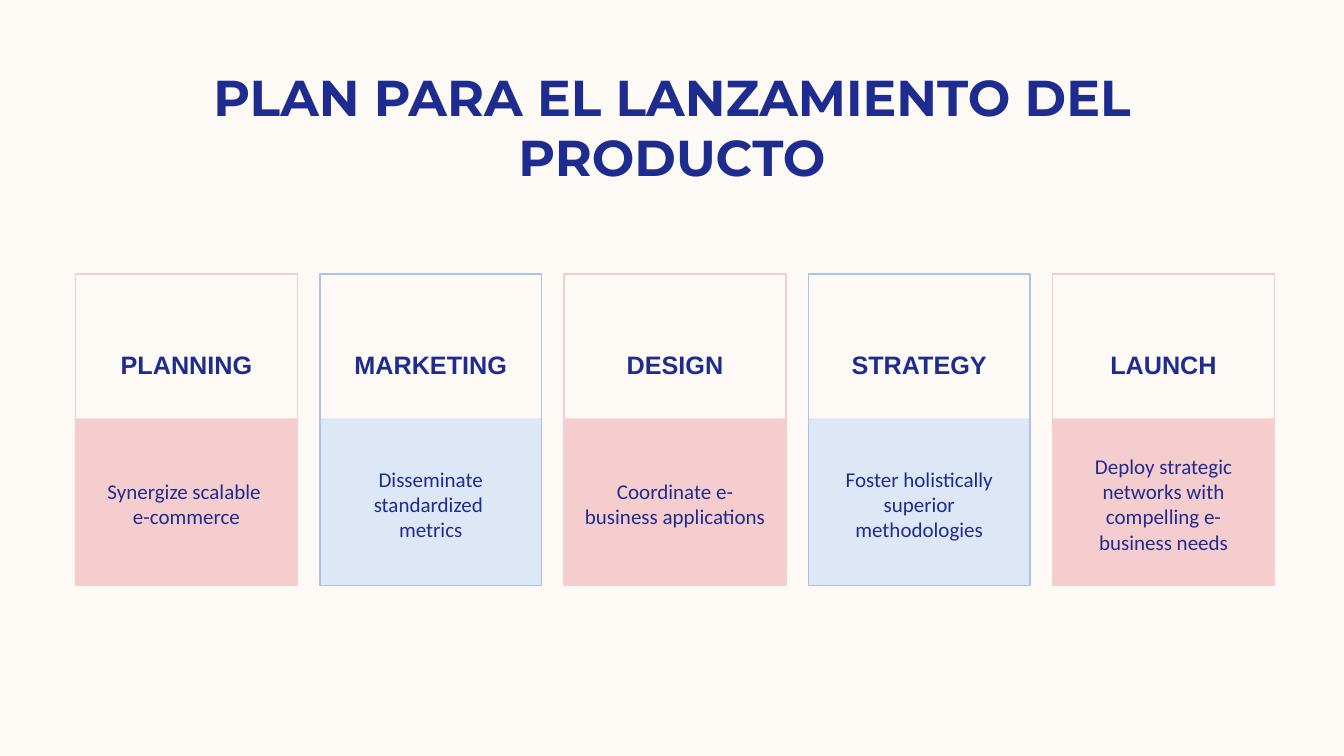
from dataclasses import dataclass

from pptx import Presentation
from pptx.dml.color import RGBColor
from pptx.enum.shapes import MSO_SHAPE
from pptx.enum.text import MSO_ANCHOR, MSO_AUTO_SIZE, PP_ALIGN
from pptx.shapes.autoshape import Shape
from pptx.slide import Slide
from pptx.util import Inches, Pt

NAVY = "1F2C8F"
CREAM = "FDFAF6"
LEFT, RIGHT, WIDTH = 0.75, 10.44, 2.2


@dataclass
class Tone:
    """Fill and line colours of a card."""
    fill: str
    line: str


@dataclass
class Card:
    """One step of the launch plan."""
    head: str
    body: str
    tone: Tone


PINK = Tone("F5CDCE", "F5CDCE")
BLUE = Tone("DDE7F6", "AAC3E8")
CARDS = [
    Card("PLANNING", "Synergize scalable \ne-commerce", PINK),
    Card("MARKETING", "Disseminate standardized \nmetrics", BLUE),
    Card("DESIGN", "Coordinate e-\nbusiness applications", PINK),
    Card("STRATEGY", "Foster holistically superior methodologies", BLUE),
    Card("LAUNCH", "Deploy strategic networks with compelling e-\nbusiness needs", PINK),
]


def color(code: str) -> RGBColor:
    """Turn a hex string into a colour."""
    return RGBColor.from_string(code)


def write(shape: Shape, text: str, font: str, size: float, bold: bool,
          anchor: MSO_ANCHOR) -> None:
    """Write centred navy text into a shape."""
    frame = shape.text_frame
    frame.word_wrap = True
    frame.auto_size = MSO_AUTO_SIZE.NONE
    frame.vertical_anchor = anchor
    para = frame.paragraphs[0]
    para.text = text
    para.alignment = PP_ALIGN.CENTER
    for run in para.runs:
        run.font.name = font
        run.font.size = Pt(size)
        run.font.bold = bold
        run.font.color.rgb = color(NAVY)


def add_box(slide: Slide, left: float, top: float, height: float) -> Shape:
    """Add a plain rectangle as wide as a card."""
    box = slide.shapes.add_shape(MSO_SHAPE.RECTANGLE, Inches(left), Inches(top),
                                 Inches(WIDTH), Inches(height))
    box.shadow.inherit = False
    return box


def add_card(slide: Slide, card: Card, left: float) -> None:
    """Draw the panel, outline, heading and text of a card."""
    panel = add_box(slide, left, 4.15, 1.66)
    panel.fill.solid()
    panel.fill.fore_color.rgb = color(card.tone.fill)
    panel.line.fill.background()

    frame = add_box(slide, left, 2.72, 3.09)
    frame.fill.background()
    frame.line.color.rgb = color(card.tone.line)
    frame.line.width = Pt(1)
    frame.text_frame.margin_top = Inches(0.75)
    write(frame, card.head, "Arial", 18, True, MSO_ANCHOR.TOP)

    note = slide.shapes.add_textbox(Inches(left + 0.05), Inches(4.25),
                                    Inches(WIDTH - 0.1), Inches(1.5))
    write(note, card.body, "Calibri", 15, False, MSO_ANCHOR.MIDDLE)


def main() -> None:
    """Build and save the slide."""
    deck = Presentation()
    deck.slide_width, deck.slide_height = Inches(13.33), Inches(7.5)
    slide = deck.slides.add_slide(deck.slide_layouts[5])
    slide.background.fill.solid()
    slide.background.fill.fore_color.rgb = color(CREAM)

    title = slide.shapes.title
    title.left, title.top = Inches(0.83), Inches(0.6)
    title.width, title.height = Inches(11.67), Inches(1.31)
    write(title, "PLAN PARA EL LANZAMIENTO DEL PRODUCTO", "Montserrat", 36, True,
          MSO_ANCHOR.MIDDLE)

    step = (RIGHT - LEFT) / (len(CARDS) - 1)
    for index, card in enumerate(CARDS):
        add_card(slide, card, LEFT + index * step)
    deck.save("out.pptx")


if __name__ == "__main__":
    main()
